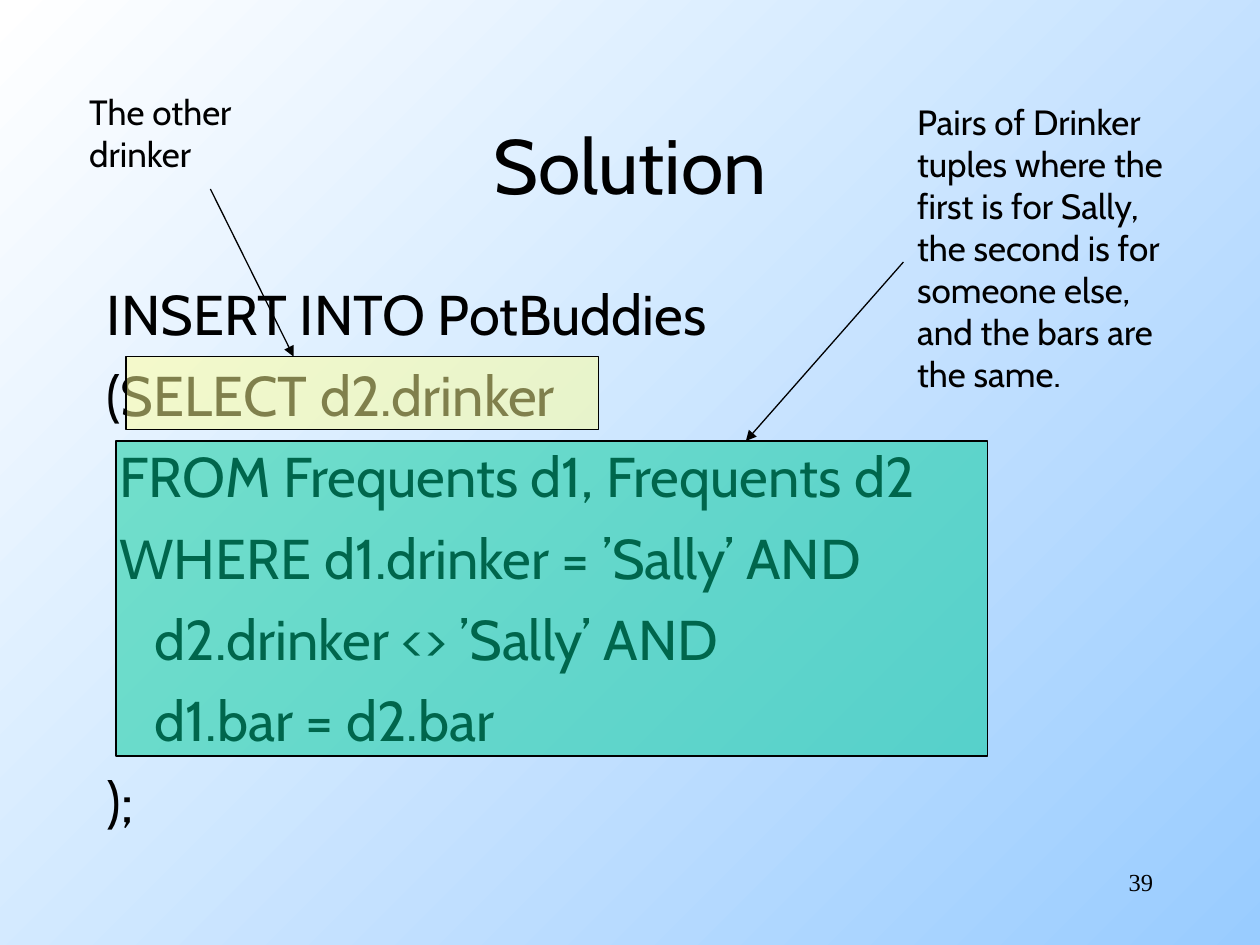
from dataclasses import dataclass

from lxml.etree import SubElement
from pptx import Presentation
from pptx.dml.color import RGBColor
from pptx.enum.shapes import MSO_CONNECTOR, MSO_SHAPE
from pptx.enum.text import MSO_ANCHOR, MSO_AUTO_SIZE, PP_ALIGN
from pptx.oxml.ns import qn
from pptx.slide import Slide
from pptx.util import Inches, Pt

BLACK = "000000"
BODY_FONT = "Cabin"
NUMBER_FONT = "Times New Roman"
CODE_INDENT = 0.38


@dataclass
class Box:
    left: float
    top: float
    width: float
    height: float


@dataclass
class TextStyle:
    size: float
    font: str = BODY_FONT
    align: PP_ALIGN = PP_ALIGN.LEFT
    anchor: MSO_ANCHOR = MSO_ANCHOR.TOP
    space_before: float = 0
    hanging: float = 0
    wrap: bool = True


@dataclass
class Line:
    text: str
    indented: bool = False


@dataclass
class Callout:
    highlight: Box
    fill: str
    note: Box
    lines: list[str]
    arrow_start: tuple[float, float]
    arrow_end: tuple[float, float]


CODE = [
    Line("INSERT INTO PotBuddies"),
    Line("(SELECT d2.drinker"),
    Line(" FROM Frequents d1, Frequents d2"),
    Line(" WHERE d1.drinker = ’Sally’ AND"),
    Line("d2.drinker <> ’Sally’ AND", indented=True),
    Line("d1.bar = d2.bar", indented=True),
    Line(");"),
]

CALLOUTS = [
    Callout(
        Box(0.92, 3.5, 6.92, 2.5), "00CC99", Box(7.18, 0.75, 2.4, 2.44),
        ["Pairs of Drinker", "tuples where the", "first is for Sally,",
         "the second is for", "someone else,", "and the bars are", "the same."],
        (7.17, 2.08), (5.92, 3.5),
    ),
    Callout(
        Box(1, 2.83, 3.75, 0.58), "FFFF99", Box(0.61, 0.67, 1.47, 0.77),
        ["The other", "drinker"],
        (1.67, 1.5), (2.33, 2.83),
    ),
]


def color(value: str) -> RGBColor:
    return RGBColor.from_string(value)


def place(box: Box) -> list[Inches]:
    return [Inches(length) for length in (box.left, box.top, box.width, box.height)]


def paint_background(slide: Slide, start: str, end: str) -> None:
    fill = slide.background.fill
    fill.gradient()
    fill.gradient_angle = 135
    for stop, value in zip(fill.gradient_stops, (start, end)):
        stop.color.rgb = color(value)


def add_text(slide: Slide, box: Box, lines: list[Line], style: TextStyle) -> None:
    frame = slide.shapes.add_textbox(*place(box)).text_frame
    frame.word_wrap = style.wrap
    frame.auto_size = MSO_AUTO_SIZE.NONE if style.wrap else MSO_AUTO_SIZE.SHAPE_TO_FIT_TEXT
    frame.vertical_anchor = style.anchor
    for index, line in enumerate(lines):
        paragraph = frame.add_paragraph() if index else frame.paragraphs[0]
        paragraph.alignment = style.align
        if index:
            paragraph.space_before = Pt(style.space_before)
        if style.hanging:
            properties = paragraph._p.get_or_add_pPr()
            properties.set("marL", str(Inches(style.hanging)))
            properties.set("indent", str(0 if line.indented else -Inches(style.hanging)))
        run = paragraph.add_run()
        run.text = line.text
        run.font.name = style.font
        run.font.size = Pt(style.size)
        run.font.color.rgb = color(BLACK)


def add_highlight(slide: Slide, box: Box, fill: str) -> None:
    shape = slide.shapes.add_shape(MSO_SHAPE.RECTANGLE, *place(box))
    shape.shadow.inherit = False
    shape.fill.solid()
    shape.fill.fore_color.rgb = color(fill)
    # Half transparent, so the code shows through
    rgb_element = shape.fill._xPr.find(qn("a:solidFill")).find(qn("a:srgbClr"))
    SubElement(rgb_element, qn("a:alpha"), val="50000")
    shape.line.color.rgb = color(BLACK)
    shape.line.width = Pt(0.75)


def add_arrow(slide: Slide, start: tuple[float, float], end: tuple[float, float]) -> None:
    points = [Inches(length) for length in (*start, *end)]
    connector = slide.shapes.add_connector(MSO_CONNECTOR.STRAIGHT, *points)
    connector.line.color.rgb = color(BLACK)
    connector.line.width = Pt(0.75)
    SubElement(connector.line._get_or_add_ln(), qn("a:tailEnd"), type="triangle")
    SubElement(connector._element.spPr, qn("a:effectLst"))


def add_callout(slide: Slide, callout: Callout) -> None:
    add_highlight(slide, callout.highlight, callout.fill)
    lines = [Line(text) for text in callout.lines]
    add_text(slide, callout.note, lines, TextStyle(20, wrap=False))
    add_arrow(slide, callout.arrow_start, callout.arrow_end)


def main() -> None:
    presentation = Presentation()
    presentation.slide_width = Inches(10)
    presentation.slide_height = Inches(7.5)
    slide = presentation.slides.add_slide(presentation.slide_layouts[6])
    paint_background(slide, "99CCFF", "FFFFFF")

    # Slide number, title and code
    add_text(slide, Box(7.17, 6.83, 2.08, 0.5), [Line("39")],
             TextStyle(14, NUMBER_FONT, PP_ALIGN.RIGHT))
    add_text(slide, Box(0.75, 0.67, 8.5, 1.25), [Line("Solution")],
             TextStyle(44, align=PP_ALIGN.CENTER, anchor=MSO_ANCHOR.MIDDLE))
    add_text(slide, Box(0.75, 2.17, 8.5, 4.5), CODE,
             TextStyle(32, space_before=8, hanging=CODE_INDENT))

    # Highlights with their notes and arrows
    for callout in CALLOUTS:
        add_callout(slide, callout)

    presentation.save("out.pptx")


if __name__ == "__main__":
    main()
